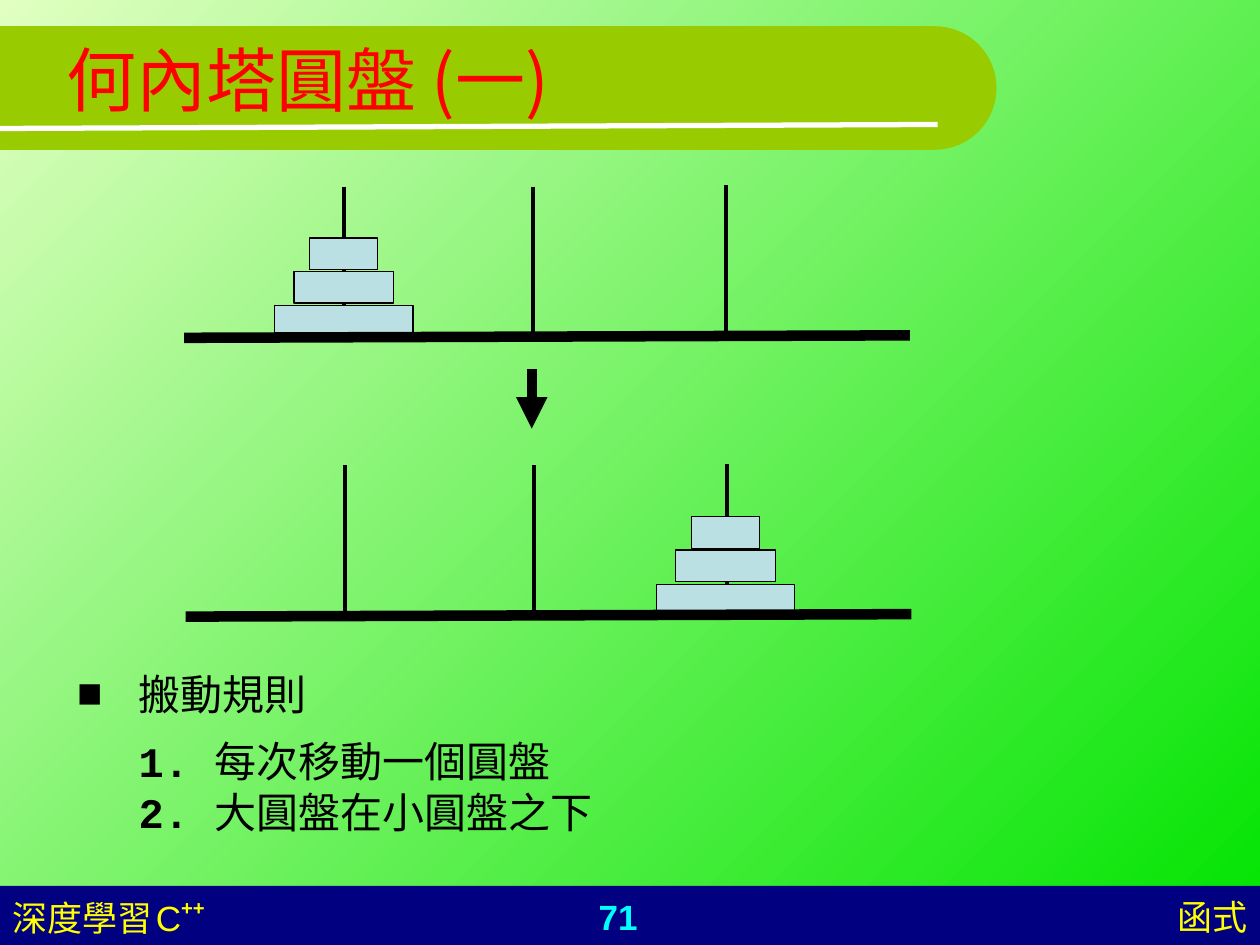
from math import cos, pi, sin

from lxml.etree import SubElement
from pptx import Presentation
from pptx.dml.color import RGBColor
from pptx.enum.shapes import MSO_CONNECTOR, MSO_SHAPE
from pptx.enum.text import MSO_ANCHOR, MSO_AUTO_SIZE, PP_ALIGN
from pptx.oxml.ns import qn
from pptx.util import Cm, Pt

COLORS = {
    "light": "E0FFC1", "green": "00E400", "band": "99CC00", "navy": "000080",
    "white": "FFFFFF", "black": "000000", "disk": "BBE0E3",
    "red": "FF0000", "cyan": "00FFFF", "yellow": "FFFF00",
}
PEGS = [(6.93, 3.76), (10.74, 3.76), (14.63, 3.73)]  # centre, top
PEG_HEIGHT = 3.0
DISKS = [(2.79, 6.16, 0.61), (2.01, 5.47, 0.64), (1.37, 4.8, 0.64)]  # width, top, height


def color(name):
    return RGBColor.from_string(COLORS[name])


def add_span(para, text, ink, **formats):
    span = para.add_run()
    span.text = text
    for name, value in formats.items():
        setattr(span.font, name, value)
    span.font.color.rgb = color(ink)
    return span


def paint(shape, fill, line=None):
    shape.shadow.inherit = False
    shape.fill.solid()
    shape.fill.fore_color.rgb = color(fill)
    if line:
        shape.line.color.rgb = color(line)
        shape.line.width = Pt(0.75)
    else:
        shape.line.fill.background()


def add_rectangle(page, left, top, width, height, fill, line=None):
    shape = page.shapes.add_shape(
        MSO_SHAPE.RECTANGLE, Cm(left), Cm(top), Cm(width), Cm(height))
    paint(shape, fill, line)


def add_line(page, start, end, ink, width, arrow=False):
    line = page.shapes.add_connector(
        MSO_CONNECTOR.STRAIGHT, *[Cm(value) for value in (*start, *end)])
    line.line.color.rgb = color(ink)
    line.line.width = Pt(width)
    if arrow:
        SubElement(line.line._get_or_add_ln(), qn("a:tailEnd"), type="triangle")
    SubElement(line._element.spPr, qn("a:effectLst"))


def add_band(page, top, width, height):
    """Bar from the left edge with a half-round right end."""
    radius, steps = height / 2, 32
    angles = [-pi / 2 + pi * step / steps for step in range(steps + 1)]
    points = [(Cm(width - radius + radius * cos(angle)),
               Cm(top + radius + radius * sin(angle))) for angle in angles]
    builder = page.shapes.build_freeform(0, Cm(top))
    builder.add_line_segments(points + [(0, Cm(top + height))], close=True)
    paint(builder.convert_to_shape(), "band")


def add_footer(page, left, width, height, align):
    box = page.shapes.add_textbox(Cm(left), Cm(17.93), Cm(width), Cm(height))
    box.text_frame.word_wrap = True
    para = box.text_frame.paragraphs[0]
    para.alignment = align
    return para


def add_tower(page, right, down, loaded):
    """Three pegs on a base, with the disks on the peg numbered loaded."""
    for center, top in PEGS:
        x, y = center + right, top + down
        add_line(page, (x, y), (x, y + PEG_HEIGHT), "black", 2.25)
    for width, top, height in DISKS:
        left = PEGS[loaded][0] - width / 2
        add_rectangle(page, left + right * (loaded == 0), top + down,
                      width, height, "disk", "black")
    add_line(page, (3.71 + right, 6.81 + down), (18.34 + right, 6.76 + down),
             "black", 6)


def place(page, holder, left, top, width, height):
    holder.left, holder.top = Cm(left), Cm(top)
    holder.width, holder.height = Cm(width), Cm(height)
    holder.text_frame.auto_size = MSO_AUTO_SIZE.NONE
    page.shapes._spTree.append(holder._element)  # bring in front of the band


def fill_title(page):
    title = page.shapes.title
    place(page, title, 1.09, 0, 22.86, 3.18)
    title.text_frame.vertical_anchor = MSO_ANCHOR.MIDDLE
    para = title.text_frame.paragraphs[0]
    para.alignment = PP_ALIGN.LEFT
    add_span(para, "何內塔圓盤 ", "red", size=Pt(40), name="Arial")
    add_span(para, "(一)", "red", size=Pt(40), name="Noto Sans CJK SC")


def fill_rules(page):
    body = page.placeholders[1]
    place(page, body, 1.3, 13.34, 22.86, 3.89)
    frame = body.text_frame
    rules = [("", "搬動規則", 0), ("1. ", "每次移動一個圓盤", 10),
             ("2. ", "大圓盤在小圓盤之下", 0)]
    for index, (number, text, space) in enumerate(rules):
        para = frame.add_paragraph() if index else frame.paragraphs[0]
        para.space_before = Pt(space)
        settings = para._p.get_or_add_pPr()
        settings.set("marL", str(Cm(1.24)))
        settings.set("indent", str(0 if number else -Cm(1.24)))
        if number:
            SubElement(settings, qn("a:buNone"))
            add_span(para, number, "black", size=Pt(24), name="Courier New", bold=True)
        else:
            bullet_color = SubElement(settings, qn("a:buClr"))
            SubElement(bullet_color, qn("a:srgbClr"), val=COLORS["black"])
            SubElement(settings, qn("a:buChar"), char="■")
        add_span(para, text, "black", size=Pt(24), name="Courier New", bold=False)


def main():
    deck = Presentation()
    deck.slide_width, deck.slide_height = Cm(25.4), Cm(19.05)
    page = deck.slides.add_slide(deck.slide_layouts[1])

    # Background, running from top left to bottom right
    background = page.background.fill
    background.gradient()
    background.gradient_angle = 315
    for stop, name in zip(background.gradient_stops, ("light", "green")):
        stop.color.rgb = color(name)

    # Bars
    add_rectangle(page, 0, 17.86, 25.4, 1.19, "navy")
    add_band(page, 0.53, 20.09, 2.49)
    add_line(page, (0, 2.59), (18.9, 2.51), "white", 3)

    # Footer
    formats = {"size": Pt(20), "name": "Arial"}
    number = add_footer(page, 9.5, 5.92, 1.78, PP_ALIGN.CENTER)
    add_span(number, "71", "cyan", bold=True, **formats)
    chapter = add_footer(page, 16.69, 8.71, 1.12, PP_ALIGN.RIGHT)
    add_span(chapter, "函式", "yellow", **formats)
    book = add_footer(page, 0, 5.92, 1.12, PP_ALIGN.LEFT)
    add_span(book, "深度學習", "yellow", **formats)
    add_span(book, " ", "yellow", size=Pt(8), name="Arial")
    add_span(book, "C", "yellow", **formats)
    plus = add_span(book, "++", "yellow", bold=True, **formats)
    plus._r.get_or_add_rPr().set("baseline", "46000")

    # Title and rules
    fill_title(page)
    fill_rules(page)

    # Towers before and after the move
    add_tower(page, 0, 0, loaded=0)
    add_tower(page, 0.03, 5.62, loaded=2)
    add_line(page, (10.72, 7.44), (10.72, 8.64), "black", 6, arrow=True)

    deck.save("out.pptx")


if __name__ == "__main__":
    main()
